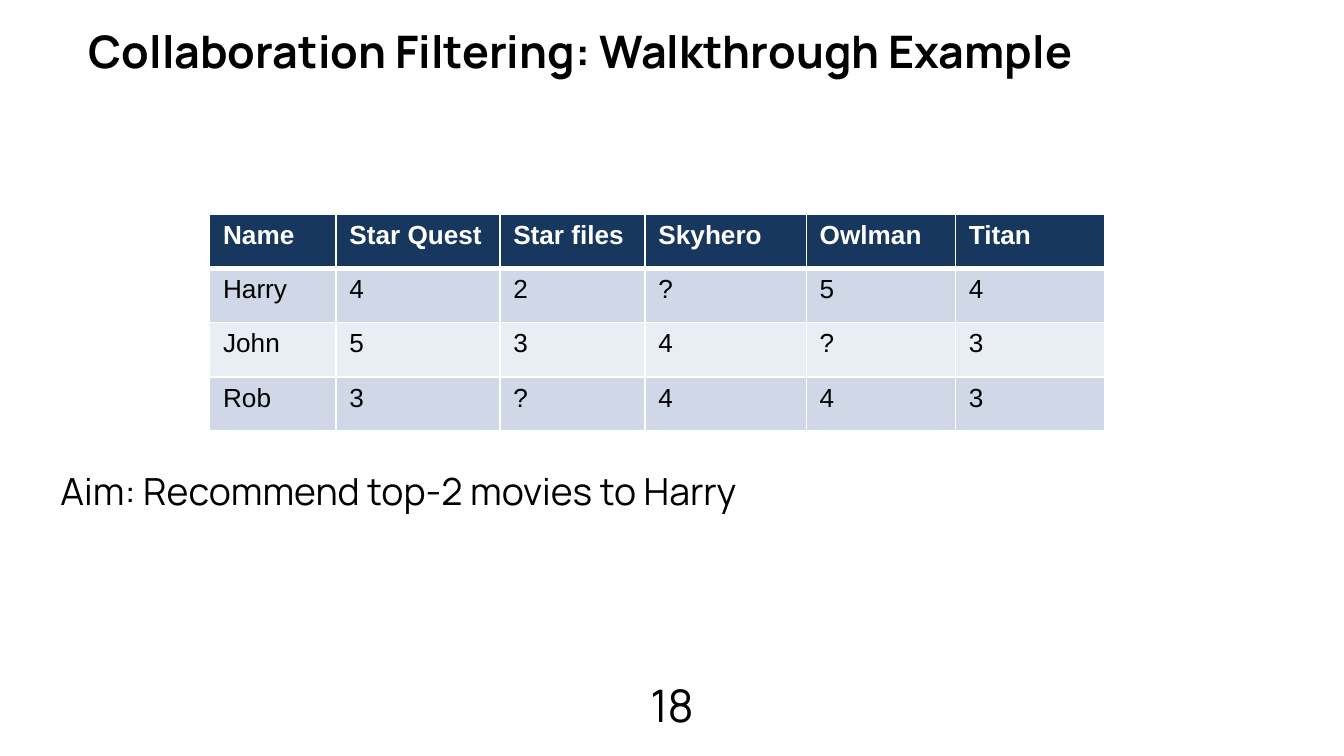
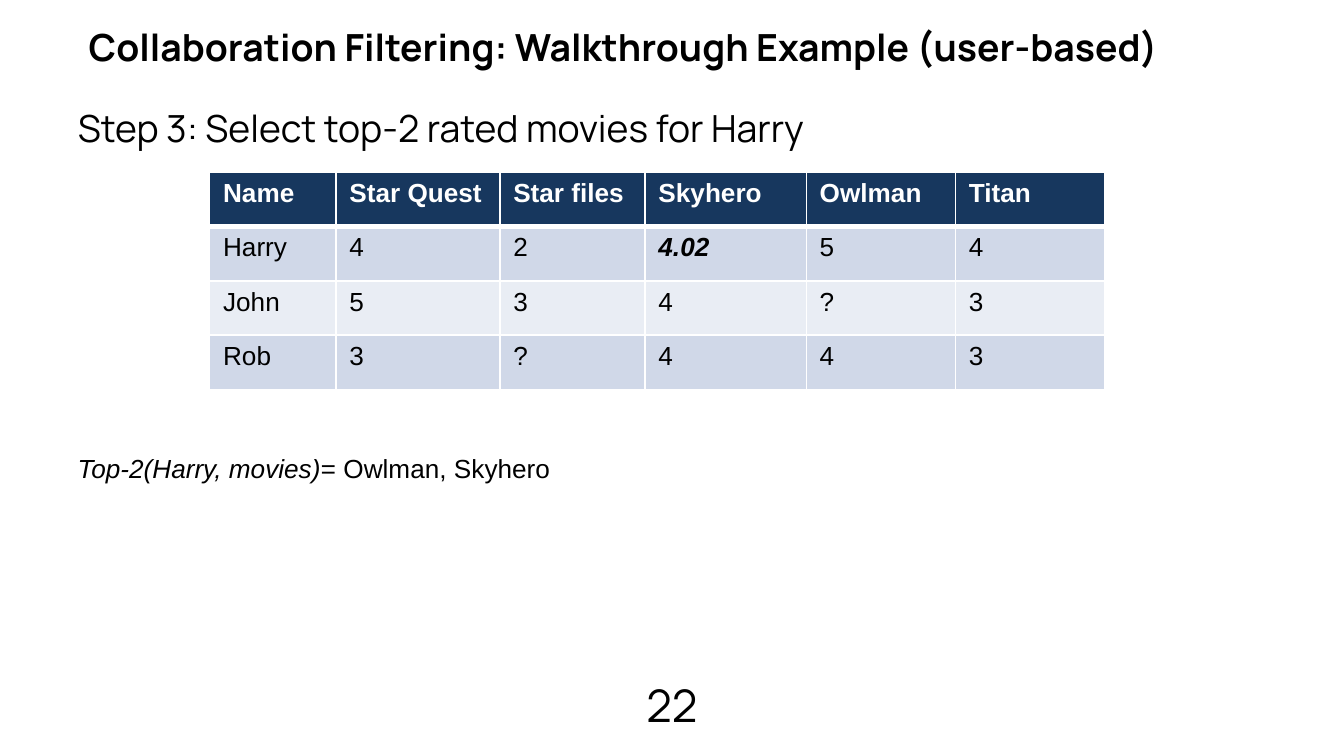
from lxml.etree import SubElement as Sub
from pptx import Presentation
from pptx.dml.color import RGBColor as Rgb
from pptx.enum.text import MSO_ANCHOR as Anchor, MSO_AUTO_SIZE as Fit, PP_ALIGN as Align
from pptx.oxml.ns import qn
from pptx.util import Pt

PX = 9144  # one px is a hundredth of an inch
WIDE = 1000
HUES = {"ink": "000000", "paper": "FFFFFF", "head": "17375E",
        "odd": "D0D8E8", "even": "E9EDF4"}
TITLE = {"name": "Manrope", "size": Pt(24), "bold": True}
BODY = {"name": "Manrope", "size": Pt(20), "bold": False}
PAGE = {**BODY, "size": Pt(24)}
CELL = {"name": "Arial", "size": Pt(14), "bold": False, "italic": False}
HEAD = {**CELL, "bold": True}
SLANT = {**CELL, "italic": True}
STRONG = {**SLANT, "bold": True}

# Boxes: left, top, width, height
HEAD_BOX = (31, 13, 945, 51)
PAGE_BOX = (446, 504, 108, 40)
NOTE_SIZE = (910, 353)
COLS = (94, 122, 108, 120, 111, 111)
GRID_H = 162

MOVIES = ["Star Quest", "Star files", "Skyhero", "Owlman", "Titan"]
RATES = {"Harry": "42?54", "John": "534?3", "Rob": "3?443"}


def emu(box):
    return [n * PX for n in box]


def place(shape, box):
    shape.left, shape.top, shape.width, shape.height = emu(box)


def write(par, text, form, hue="ink"):
    run = par.add_run()
    run.text = text
    for key, val in form.items():
        setattr(run.font, key, val)
    run.font.color.rgb = Rgb.from_string(HUES[hue])


def fill_holder(shape, box, text, form, left=0, hang=0, inset=5):
    """Put one unbulleted line in a template placeholder."""
    place(shape, box)
    frame = shape.text_frame
    frame.word_wrap = True
    frame.auto_size = Fit.NONE
    frame.vertical_anchor = Anchor.TOP
    frame.margin_top = inset * PX
    par = frame.paragraphs[0]
    props = par._p.get_or_add_pPr()
    props.set("marL", str(left * PX))
    props.set("indent", str(hang * PX))
    Sub(props, qn("a:buNone"))
    par.alignment = Align.LEFT
    par.space_before = Pt(0)
    write(par, text, form)


def edge(cell, sides):
    """Draw white cell borders, widths in points."""
    props = cell._tc.get_or_add_tcPr()
    for side, wide in sides.items():
        line = Sub(props, qn("a:ln" + side), w=str(Pt(wide)))
        fill = Sub(line, qn("a:solidFill"))
        Sub(fill, qn("a:srgbClr"), val=HUES["paper"])


def add_grid(slide, left, top, marks):
    """Ratings table; marks gives cells a new text in strong type."""
    rows = [["Name", *MOVIES]] + [[who, *row] for who, row in RATES.items()]
    box = emu((left, top, sum(COLS), GRID_H))
    grid = slide.shapes.add_table(len(rows), len(COLS), *box).table
    for col, wide in zip(grid.columns, COLS):
        col.width = wide * PX
    for r, row in enumerate(rows):
        grid.rows[r].height = GRID_H * PX // len(rows)
        tone = "head" if r == 0 else "odd" if r % 2 else "even"
        for c, text in enumerate(row):
            cell = grid.cell(r, c)
            edge(cell, {"L": 1, "R": 1, "T": 3 if r == 1 else 1,
                        "B": 3 if r == 0 else 1})
            cell.fill.solid()
            cell.fill.fore_color.rgb = Rgb.from_string(HUES[tone])
            form = HEAD if r == 0 else STRONG if (r, c) in marks else CELL
            write(cell.text_frame.paragraphs[0], marks.get((r, c), text), form,
                  "ink" if r else "paper")


def add_page(slide, num):
    frame = slide.shapes.add_textbox(*emu(PAGE_BOX)).text_frame
    frame.word_wrap = True
    frame.vertical_anchor = Anchor.MIDDLE
    par = frame.paragraphs[0]
    par.alignment = Align.CENTER
    write(par, num, PAGE)


def add_result(slide, box):
    frame = slide.shapes.add_textbox(*emu(box)).text_frame
    frame.word_wrap = False
    frame.auto_size = Fit.SHAPE_TO_FIT_TEXT
    par = frame.paragraphs[0]
    write(par, "Top-2(Harry, movies)= ", SLANT)
    write(par, f"{MOVIES[3]}, {MOVIES[2]}", CELL)


def add_step(deck, num, title, size, note, spot, top, marks):
    """One walkthrough slide: title, note, ratings and page number."""
    slide = deck.slides.add_slide(deck.slide_layouts[1])
    head, body = slide.placeholders
    fill_holder(head, HEAD_BOX, title, {**TITLE, "size": Pt(size)}, 50, -25)
    fill_holder(body, spot + NOTE_SIZE, note, BODY, inset=45)
    add_grid(slide, 156, top, marks)
    add_page(slide, num)
    return slide


def main():
    deck = Presentation()
    deck.slide_width = WIDE * PX
    deck.slide_height = WIDE * PX * 9 // 16
    name = "Collaboration Filtering: Walkthrough Example"

    # The task
    add_step(deck, "18", name, 24, "Aim: Recommend top-2 movies to Harry",
             (35, 303), 159, {})

    # The answer
    last = add_step(deck, "22", name + " (user-based)", 20,
                    "Step 3: Select top-2 rated movies for Harry",
                    (48, 33), 128, {(1, 3): "4.02"})
    add_result(last, (48, 332, 390, 34))
    deck.save("out.pptx")


if __name__ == "__main__":
    main()
